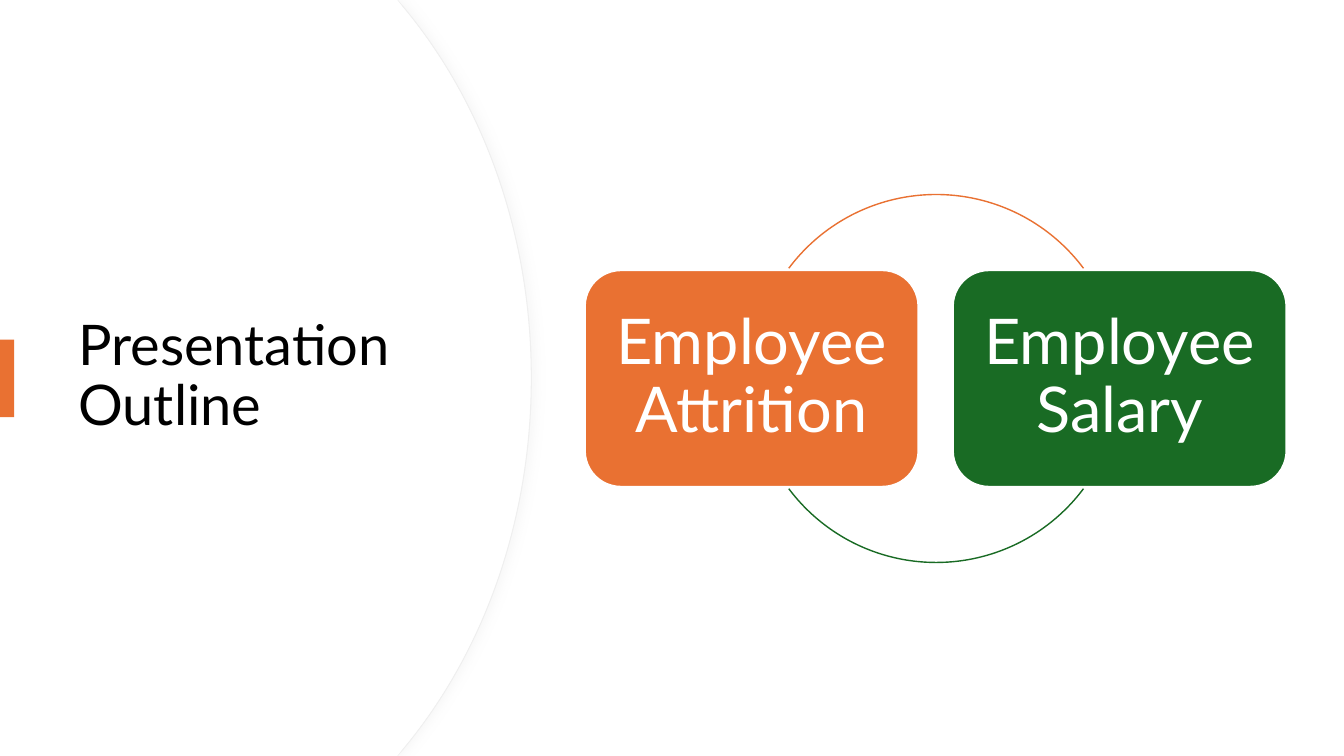
from lxml import etree
from pptx import Presentation
from pptx.dml.color import RGBColor
from pptx.enum.shapes import MSO_SHAPE as Shape
from pptx.enum.text import MSO_ANCHOR as Anchor, PP_ALIGN as Align
from pptx.oxml.ns import qn
from pptx.util import Inches, Pt


def color(code):
    return RGBColor.from_string(code)


def write(shape, words, size, code, align):
    frame = shape.text_frame
    frame.word_wrap = True
    frame.vertical_anchor = Anchor.MIDDLE
    frame.text = words
    para = frame.paragraphs[0]
    para.alignment = align
    para.line_spacing = 0.9
    font = para.runs[0].font
    font.name, font.size = "Lato", Pt(size)
    font.color.rgb = color(code)


deck = Presentation()
deck.slide_width, deck.slide_height = Inches(13.33), Inches(7.5)
slide = deck.slides.add_slide(deck.slide_layouts[6])
shapes = slide.shapes

# Curved panel: an outlined shape with a shadow, then a plain one on top
for right, knee in ((5.27, 4.01), (5.26, 4)):
    upper = [(3.94, 0), (knee, 0.08), (right - 0.48, 1.02), (right, 2.32)]
    lower = [(x, 7.5 - y) for x, y in upper[::-1]]
    edge = upper + [(right, 3.75)] + lower + [(0, 7.5)]
    pen = shapes.build_freeform(0, 0, scale=1)
    pen.add_line_segments([(Inches(x), Inches(y)) for x, y in edge], close=True)
    panel = pen.convert_to_shape()

    # Turn the two runs of three points after the knee into Bezier curves
    lines = list(panel.element.iter(qn("a:lnTo")))
    for first in (2, 5):
        bend = etree.Element(qn("a:cubicBezTo"))
        lines[first].addprevious(bend)
        for line in lines[first:first + 3]:
            bend.append(line[0])
            line.getparent().remove(line)

    panel.shadow.inherit = False
    panel.fill.solid()
    panel.fill.fore_color.rgb = color("FFFFFF")
    if right == 5.26:
        panel.line.fill.background()
    else:
        panel.line.color.rgb = color("EFEFEF")
        panel.line.width = Pt(0.75)
        effects = panel.element.spPr.find(qn("a:effectLst"))
        shade = etree.SubElement(effects, qn("a:outerShdw"), blurRad=str(Pt(7)),
                                 dist=str(Pt(3)), dir="0", algn="l", rotWithShape="0")
        tint = etree.SubElement(shade, qn("a:srgbClr"), val="D9D9D9")
        etree.SubElement(tint, qn("a:alpha"), val="20000")

# Title and accent bar
title = shapes.add_textbox(Inches(0.68), Inches(1.27), Inches(3.94), Inches(4.95))
write(title, "Presentation Outline", 40, "000000", Align.LEFT)
bar = shapes.add_shape(Shape.RECTANGLE, 0, Inches(3.37), Inches(0.14), Inches(0.77))
bar.shadow.inherit = False
bar.fill.solid()
bar.fill.fore_color.rgb = color("E97132")
bar.line.fill.background()

# Topic cards, each with its arc of the cycle (angles in degrees)
topics = [("Employee Attrition", 5.8, "E97132", 216.8, 323.2),
          ("Employee Salary", 9.45, "196B24", 36.8, 143.2)]
for words, left, code, start, end in topics:
    card = shapes.add_shape(Shape.ROUNDED_RECTANGLE, Inches(left), Inches(2.68),
                            Inches(3.31), Inches(2.15))
    card.shadow.inherit = False
    card.fill.solid()
    card.fill.fore_color.rgb = color(code)
    card.line.color.rgb = color("FFFFFF")
    card.line.width = Pt(1.5)
    frame = card.text_frame
    frame.margin_left = frame.margin_right = Inches(0.19)
    frame.margin_top = frame.margin_bottom = Inches(0.19)
    write(card, words, 45, "FFFFFF", Align.CENTER)

    arc = shapes.add_shape(Shape.ARC, Inches(7.46), Inches(1.93), Inches(3.65), Inches(3.65))
    arc.shadow.inherit = False
    arc.adjustments[0], arc.adjustments[1] = start * 0.6, end * 0.6
    arc.fill.background()
    arc.line.color.rgb = color(code)
    arc.line.width = Pt(1)

deck.save("out.pptx")
